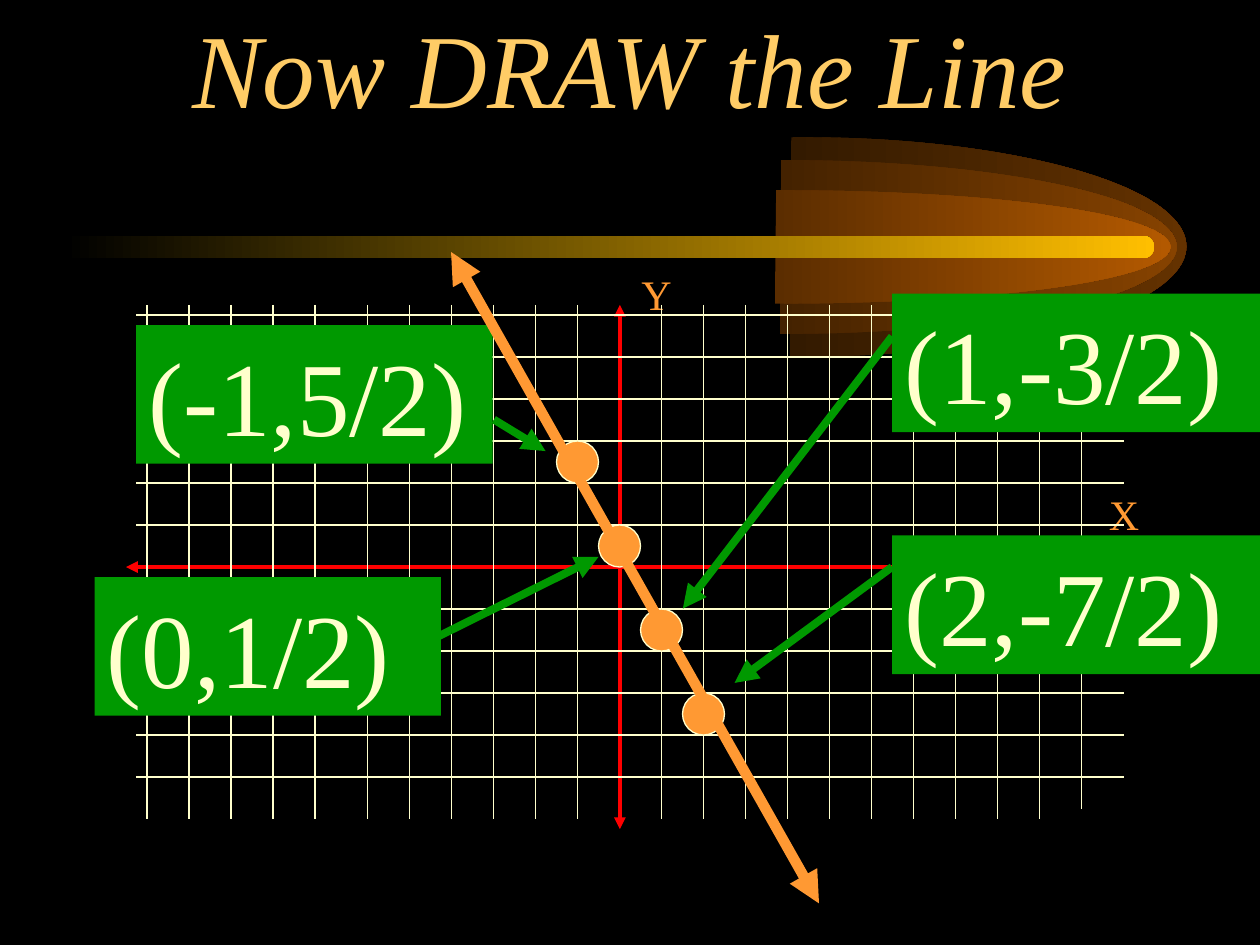
from lxml import etree
from pptx import Presentation
from pptx.dml.color import RGBColor
from pptx.enum.shapes import MSO_CONNECTOR, MSO_SHAPE
from pptx.enum.text import MSO_ANCHOR, PP_ALIGN
from pptx.oxml.ns import qn
from pptx.util import Inches, Pt

STRAIGHT = MSO_CONNECTOR.STRAIGHT
RECT, OVAL, ROUND = MSO_SHAPE.RECTANGLE, MSO_SHAPE.OVAL, MSO_SHAPE.ROUNDED_RECTANGLE
TOP, BOTTOM = MSO_ANCHOR.TOP, MSO_ANCHOR.BOTTOM
LEFT, CENTER = PP_ALIGN.LEFT, PP_ALIGN.CENTER

COLORS = {"back": "000000", "title": "FFCC66", "axis": "FF0000", "grid": "FFFFCC",
          "label": "009900", "plot": "FF9933", "bar": "FFBF00"}
FONT = "Times New Roman"

# Content
TITLE = "Now DRAW the Line"
POINTS = [(-1, 2.5), (0, 0.5), (1, -1.5), (2, -3.5)]
LABELS = [  # text, left, top, width, arrow start, arrow end
    ("(1,-3/2)", 7.08, 2.33, 2.92, (7.08, 2.67), (5.42, 4.83)),
    ("(0,1/2)", 0.75, 4.58, 2.75, (3.42, 5.08), (4.75, 4.42)),
    ("(2,-7/2)", 7.08, 4.25, 2.92, (7.08, 4.5), (5.83, 5.42)),
    ("(-1,5/2)", 1.08, 2.58, 2.83, (3.92, 3.33), (4.33, 3.58)),
]
AXIS_NAMES = [("X", 8.67, 3.83, 0.5), ("Y", 4.92, 2.08, 0.58)]
AXES = [((5, 4.5), (9.08, 4.5)), ((5, 4.5), (1, 4.5)),
        ((4.92, 4.5), (4.92, 2.42)), ((4.92, 4.5), (4.92, 6.58))]
# Comet shells: left colour, right colour, three Bezier curves from top left to bottom left
SHELLS = [
    ("331A00", "663300", [(6.28, 1.09), (7.4, 1.08), (8.44, 1.25), (9, 1.52), (9.56, 1.79),
                          (9.55, 2.13), (8.99, 2.4), (8.43, 2.67), (7.39, 2.84), (6.27, 2.83)]),
    ("442200", "894400", [(6.2, 1.27), (7.33, 1.27), (8.36, 1.4), (8.92, 1.61), (9.48, 1.83),
                          (9.48, 2.09), (8.91, 2.31), (8.35, 2.52), (7.31, 2.65), (6.19, 2.65)]),
    ("5B2D00", "B75B00", [(6.16, 1.51), (7.28, 1.51), (8.31, 1.59), (8.87, 1.73), (9.43, 1.87),
                          (9.43, 2.05), (8.87, 2.19), (8.31, 2.33), (7.27, 2.41), (6.15, 2.41)]),
]

# Coordinate system
UNIT = 1 / 3
ORIGIN_X, ORIGIN_Y = 5 - UNIT / 4, 4.5
DOT = UNIT

prs = Presentation()
prs.slide_width, prs.slide_height = Inches(10), Inches(7.5)
s = prs.slides.add_slide(prs.slide_layouts[6])


def rgb(name):
    return RGBColor.from_string(COLORS.get(name, name))


s.background.fill.solid()
s.background.fill.fore_color.rgb = rgb("back")


def line(start, end, color, width, ends=()):
    c = s.shapes.add_connector(STRAIGHT, *map(Inches, start + end))
    c.line.color.rgb = rgb(color)
    c.line.width = Pt(width)
    ln = c.line._get_or_add_ln()
    for end_name in ends:
        etree.SubElement(ln, qn("a:" + end_name), type="triangle")
    etree.SubElement(c._element.spPr, qn("a:effectLst"))


def shape(kind, box, fill, outline=None):
    sp = s.shapes.add_shape(kind, *map(Inches, box))
    sp.shadow.inherit = False
    sp.fill.solid()
    sp.fill.fore_color.rgb = rgb(fill)
    if outline:
        sp.line.color.rgb = rgb(outline)
        sp.line.width = Pt(0.75)
    else:
        sp.line.fill.background()
    return sp


def write(sp, text, size, color, align=LEFT, italic=False, anchor=TOP):
    tf = sp.text_frame
    tf.word_wrap = True
    tf.vertical_anchor = anchor
    p = tf.paragraphs[0]
    p.alignment = align
    r = p.add_run()
    r.text = text
    for name, value in {"name": FONT, "size": Pt(size), "italic": italic}.items():
        setattr(r.font, name, value)
    r.font.color.rgb = rgb(color)


def fade(sp, left, right):
    sp.fill.gradient()
    sp.fill.gradient_angle = 0
    for stop, color in zip(sp.fill.gradient_stops, (left, right)):
        stop.color.rgb = rgb(color)


def curved_shape(points):
    corners = [(Inches(x), Inches(y)) for x, y in points]
    builder = s.shapes.build_freeform(*corners[0])
    builder.add_line_segments(corners[1:], close=True)
    sp = builder.convert_to_shape()
    # Turn each three straight segments into one Bezier curve
    segments = list(sp._element.iter(qn("a:lnTo")))
    for i in range(0, len(segments), 3):
        curve = etree.Element(qn("a:cubicBezTo"))
        segments[i].addprevious(curve)
        for segment in segments[i:i + 3]:
            curve.append(segment[0])
            segment.getparent().remove(segment)
    sp.shadow.inherit = False
    sp.line.fill.background()
    return sp


# Comet behind the title
for left, right, points in SHELLS:
    fade(curved_shape(points), left, right)
bar = shape(ROUND, (0.5, 1.87, 8.66, 0.18), "bar")
bar.adjustments[0] = 0.5
fade(bar, "back", "bar")

# Title
title = s.shapes.add_textbox(0, 0, Inches(10), Inches(1.08))
write(title, TITLE, 60, "title", CENTER, True, BOTTOM)

# Axes and their names
for start, end in AXES:
    line(start, end, "axis", 2.25, ["tailEnd"])
for text, x, y, width in AXIS_NAMES:
    name_box = s.shapes.add_textbox(*map(Inches, (x, y, width, 0.57)))
    write(name_box, text, 24, "plot", CENTER)

# Grid, leaving out the axes; the five leftmost columns sit a quarter unit further left
columns = [i - 0.25 for i in range(-11, -6)] + [i for i in range(-6, 12) if i]
for i in columns:
    x = ORIGIN_X + i * UNIT
    rise = 0.08 if i == columns[-1] else 0
    line((x, 2.42 - rise), (x, 6.5 - rise), "grid", 1)
for j in range(-6, 6):
    if j:
        y = ORIGIN_Y + j * UNIT
        line((1.08, y), (8.92, y), "grid", 1)

# Point labels with arrows
for text, x, y, width, start, end in LABELS:
    label = shape(RECT, (x, y, width, 1.1), "label")
    write(label, text, 60, "grid")
    line(start, end, "label", 4.5, ["tailEnd"])

# Plotted points and the line through them
for px, py in POINTS:
    x, y = ORIGIN_X + px * UNIT, ORIGIN_Y - py * UNIT
    shape(OVAL, (x - DOT / 2, y - DOT / 2, DOT, DOT), "plot", "grid")
line((3.58, 2), (6.5, 7.17), "plot", 6, ["headEnd", "tailEnd"])

prs.save("out.pptx")
